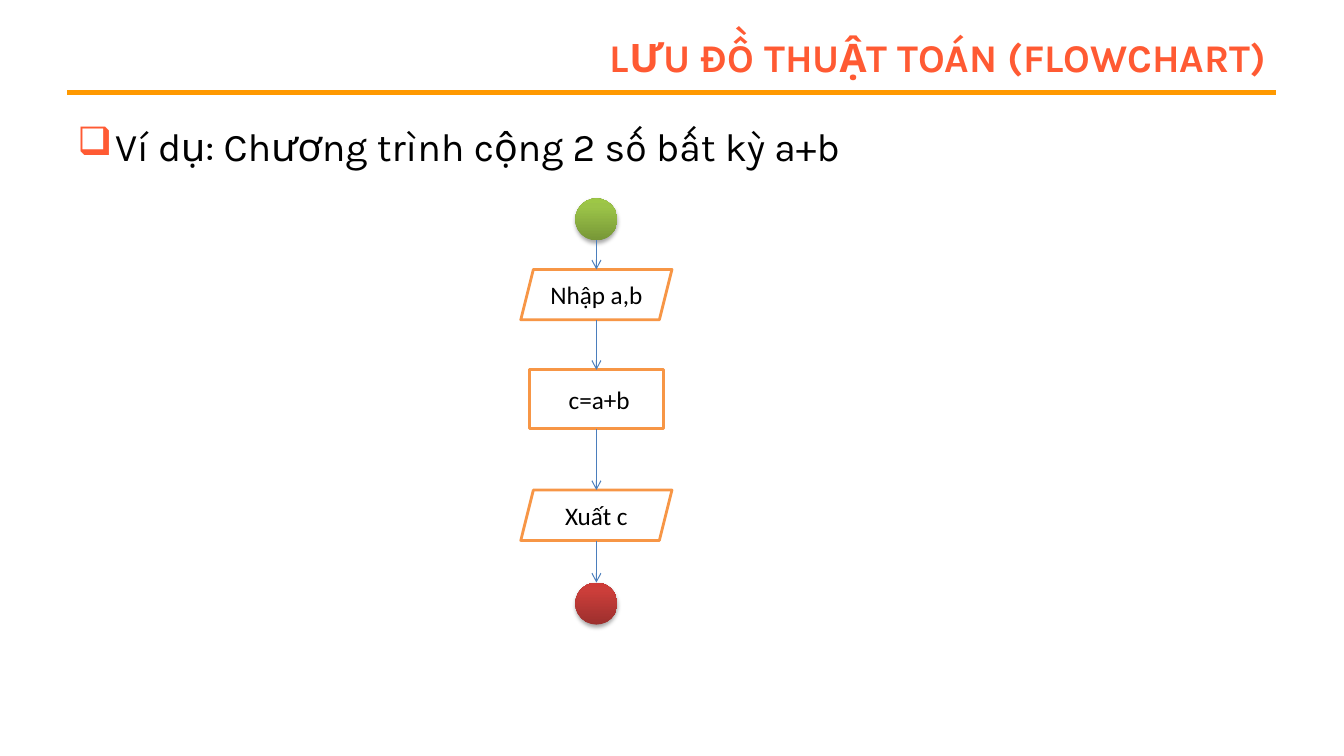
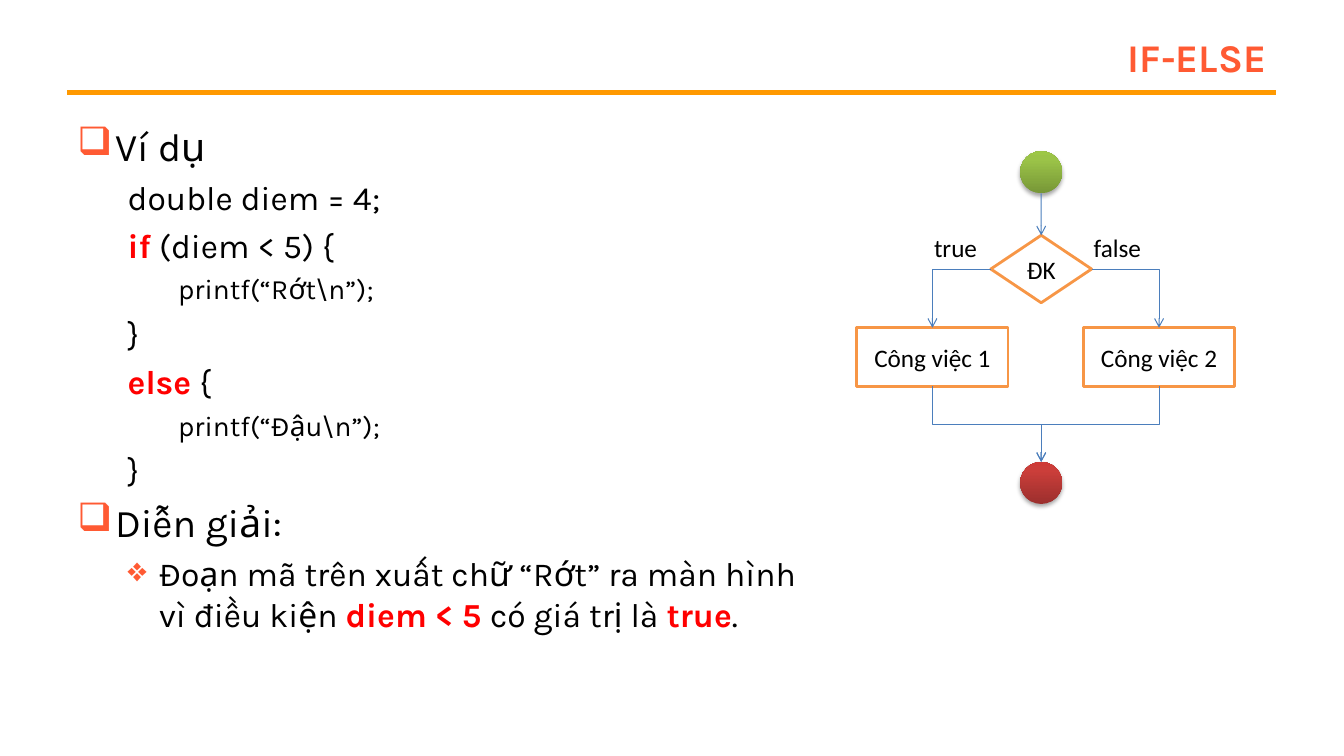
from copy import deepcopy
from dataclasses import dataclass

from lxml import etree
from pptx import Presentation
from pptx.dml.color import RGBColor as Rgb
from pptx.enum.shapes import MSO_CONNECTOR as Link, MSO_SHAPE as Form
from pptx.enum.text import MSO_ANCHOR as Anchor, MSO_AUTO_SIZE as Fit, PP_ALIGN as Align
from pptx.oxml.ns import qn
from pptx.util import Cm, Pt


@dataclass(frozen=True)
class Theme:
    head: str = "FF5A33"
    rule: str = "FF9900"
    ink: str = "000000"
    paper: str = "FFFFFF"
    key: str = "FF0000"
    edge: str = "F79646"
    arrow: str = "4B7EBC"
    start: tuple = ("779737", "9BC348", "9DC746")
    stop: tuple = ("9C2F2D", "CB3E3A", "CE3B37")
    sans: str = "Karla"
    plain: str = "Calibri"
    title: int = 28
    levels: tuple = (28, 24, 20)
    label: int = 18
    lead: float = 0.23


T = Theme()
STOPS = (0, 0.8, 1)
DOT = 1.06
BOX = 1.48
WIDE = 3.81
SQUARE, GEM = "❑", "❖"
INDENT = {SQUARE: (0.95, -0.95), GEM: (2.06, -0.79)}


def tag(parent, name, **attrs):
    return etree.SubElement(parent, qn(name), {k: str(v) for k, v in attrs.items()})


def style(par, face, size, tint=T.ink, bold=False):
    font = par.font
    font.name, font.size, font.bold = face, Pt(size), bold
    font.color.rgb = Rgb.from_string(tint)


def wire(slide, start, end, tint=T.arrow, width=0.75, kind=Link.STRAIGHT, head=True):
    line = slide.shapes.add_connector(kind, *start, *end)
    line.line.color.rgb = Rgb.from_string(tint)
    line.line.width = Pt(width)
    if head:
        tag(line.element.find(".//" + qn("a:ln")), "a:tailEnd", type="arrow")
    tag(line.element.spPr, "a:effectLst")
    return line


def corner(slide, start, end):
    line = wire(slide, start, end, kind=Link.ELBOW)
    line.element.find(".//" + qn("a:prstGeom")).set("prst", "bentConnector2")


def merge(slide, start, end):
    (x1, y1), (x2, y2) = start, end
    mid_x, mid_y = (x1 + x2) // 2, (y1 + y2) // 2
    half_w, half_h = (y2 - y1) // 2, abs(x2 - x1) // 2
    right = x2 > x1
    side = half_w if right else -half_w
    line = wire(slide, (mid_x + side, mid_y - half_h),
                (mid_x - side, mid_y + half_h), kind=Link.ELBOW)
    turn = 270 if right else 90
    line.element.find(".//" + qn("a:xfrm")).set("rot", str(turn * 60000))


def top(item):
    return item.left + item.width // 2, item.top


def foot(item):
    return item.left + item.width // 2, item.top + item.height


def left(item):
    return item.left, item.top + item.height // 2


def right(item):
    return item.left + item.width, item.top + item.height // 2


def shape(slide, form, mid, y, w, h):
    item = slide.shapes.add_shape(form, Cm(mid - w / 2), Cm(y), Cm(w), Cm(h))
    item.shadow.inherit = False
    return item


def dot(slide, mid, y, tints):
    item = shape(slide, Form.OVAL, mid, y, DOT, DOT)
    item.line.fill.background()
    item.fill.gradient()
    item.fill.gradient_angle = 90
    stops = item.element.find(".//" + qn("a:gsLst"))
    stops.append(deepcopy(stops[-1]))
    for stop, place, tint in zip(item.fill.gradient_stops, STOPS, tints):
        stop.position = place
        stop.color.rgb = Rgb.from_string(tint)
    glow = tag(item.element.spPr.find(qn("a:effectLst")), "a:outerShdw",
               blurRad=Pt(3.1), dist=Pt(1.8), dir=90 * 60000, rotWithShape=0)
    tag(tag(glow, "a:srgbClr", val=T.ink), "a:alpha", val=35000)
    return item


def node(slide, form, mid, y, w, h, text):
    item = shape(slide, form, mid, y, w, h)
    item.fill.solid()
    item.fill.fore_color.rgb = Rgb.from_string(T.paper)
    item.line.color.rgb = Rgb.from_string(T.edge)
    item.line.width = Pt(2)
    frame = item.text_frame
    frame.word_wrap = False
    frame.vertical_anchor = Anchor.MIDDLE
    par = frame.paragraphs[0]
    par.text, par.alignment = text, Align.CENTER
    style(par, T.plain, T.label)
    return item


def label(slide, x, y, w, text):
    frame = slide.shapes.add_textbox(Cm(x), Cm(y), Cm(w), Cm(1.02)).text_frame
    frame.word_wrap = False
    par = frame.paragraphs[0]
    par.text = text
    style(par, T.plain, T.label)


def point(par, level, mark, text):
    size = T.levels[level]
    par.level = level
    par.space_before = Pt(round(size * T.lead, 1))
    margin, indent = INDENT.get(mark, (1.27 * level, 0))
    props = par._p.get_or_add_pPr()
    props.set("marL", str(Cm(margin)))
    props.set("indent", str(Cm(indent)))
    if mark:
        tag(tag(props, "a:buClr"), "a:srgbClr", val=T.head)
        tag(props, "a:buChar", char=mark)
    else:
        tag(props, "a:buNone")
    style(par, T.sans, size)
    for i, part in enumerate(text.split("*")):
        if part:
            run = par.add_run()
            run.text = part
            if i % 2:
                run.font.bold = True
                run.font.color.rgb = Rgb.from_string(T.key)


def body(slide, width, points):
    frame = slide.shapes.add_textbox(Cm(1.7), Cm(2.96), Cm(width), Cm(14.6)).text_frame
    frame.word_wrap = True
    for i, item in enumerate(points):
        point(frame.add_paragraph() if i else frame.paragraphs[0], *item)


def page(deck, text):
    slide = deck.slides.add_slide(deck.slide_layouts[5])
    wire(slide, (Cm(1.7), Cm(2.33)), (Cm(32.16), Cm(2.33)), T.rule, 3, head=False)
    title = slide.shapes.title
    title.left, title.top, title.width, title.height = Cm(7.62), Cm(0.76), Cm(24.54), Cm(1.35)
    frame = title.text_frame
    frame.auto_size = Fit.NONE
    frame.vertical_anchor = Anchor.MIDDLE
    par = frame.paragraphs[0]
    par.text, par.alignment = text, Align.RIGHT
    style(par, T.sans, T.title, T.head, True)
    return slide


def sum_page(deck):
    slide = page(deck, "LƯU ĐỒ THUẬT TOÁN (FLOWCHART)")
    body(slide, 30.48, [(0, SQUARE, "Ví dụ: Chương trình cộng 2 số bất kỳ a+b")])
    mid = 15.03
    steps = [
        dot(slide, mid, 5, T.start),
        node(slide, Form.PARALLELOGRAM, mid, 6.79, WIDE, 1.27, "Nhập a,b"),
        node(slide, Form.RECTANGLE, mid, 9.32, 3.39, BOX, " c=a+b"),
        node(slide, Form.PARALLELOGRAM, mid, 12.35, WIDE, 1.27, "Xuất c"),
        dot(slide, mid, 14.68, T.stop),
    ]
    for prior, after in zip(steps, steps[1:]):
        wire(slide, foot(prior), top(after))


def if_page(deck):
    slide = page(deck, "IF-ELSE")
    body(slide, 19.26, [
        (0, SQUARE, "Ví dụ"),
        (1, "", "double diem = 4;"),
        (1, "", "*if* (diem < 5) {"),
        (2, "", "printf(“Rớt\\n”);"),
        (1, "", "}"),
        (1, "", "*else* {"),
        (2, "", "printf(“Đậu\\n”);"),
        (1, "", "}"),
        (0, SQUARE, "Diễn giải:"),
        (1, GEM, "Đoạn mã trên xuất chữ “Rớt” ra màn hình vì điều kiện "
                 "*diem < 5 *có giá trị là *true*."),
    ])
    mid = 26.24
    start = dot(slide, mid, 3.81, T.start)
    stop = dot(slide, mid, 11.64, T.stop)
    test = node(slide, Form.FLOWCHART_DECISION, mid, 5.93, 2.54, 1.7, "ĐK")
    wire(slide, foot(start), top(test))
    for x, side, text in ((23.5, left, "Công việc 1"), (29.21, right, "Công việc 2")):
        task = node(slide, Form.RECTANGLE, x, 8.26, WIDE, BOX, text)
        corner(slide, side(test), top(task))
        merge(slide, foot(task), top(stop))
    label(slide, 23.29, 5.74, 1.6, "true")
    label(slide, 27.31, 5.74, 1.73, "false")


def main():
    deck = Presentation()
    deck.slide_width, deck.slide_height = Cm(33.87), Cm(19.05)
    sum_page(deck)
    if_page(deck)
    deck.save("out.pptx")


if __name__ == "__main__":
    main()
